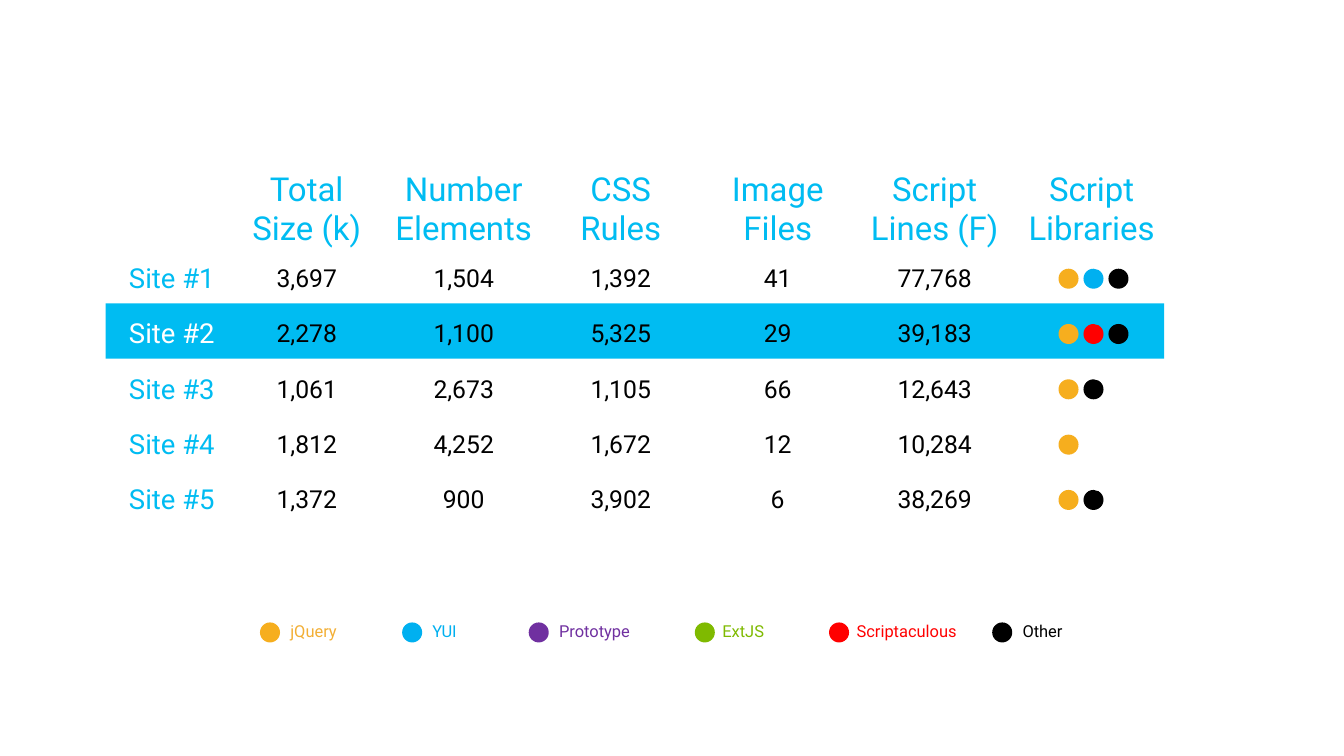
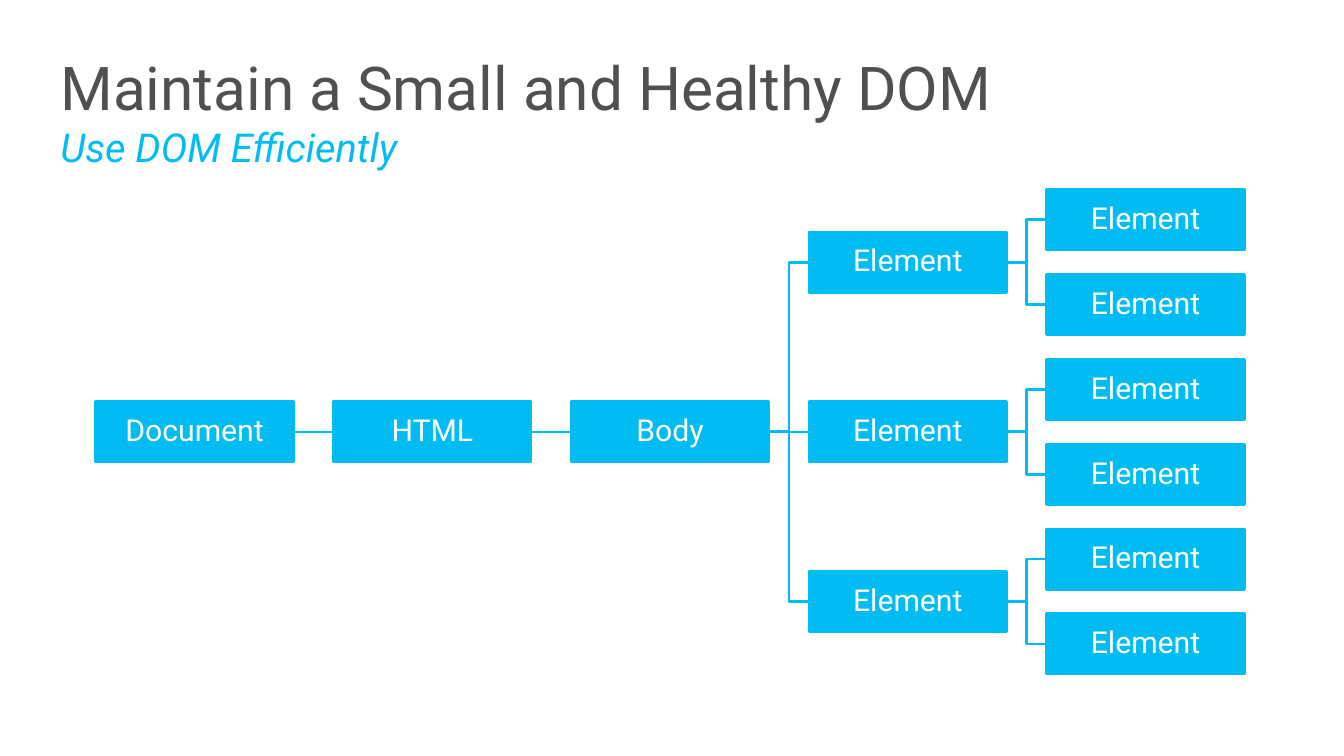
from pptx import Presentation
from pptx.dml.color import RGBColor
from pptx.enum.shapes import MSO_CONNECTOR, MSO_SHAPE
from pptx.enum.text import MSO_ANCHOR, PP_ALIGN
from pptx.oxml.ns import qn
from pptx.util import Pt
from lxml import etree

RECTANGLE, OVAL = MSO_SHAPE.RECTANGLE, MSO_SHAPE.OVAL
STRAIGHT, ELBOW = MSO_CONNECTOR.STRAIGHT, MSO_CONNECTOR.ELBOW
MIDDLE, CENTER = MSO_ANCHOR.MIDDLE, PP_ALIGN.CENTER

CYAN = RGBColor(0x00, 0xBC, 0xF2)
BLUE = RGBColor(0x00, 0xB0, 0xF0)
ORANGE = RGBColor(0xF6, 0xAE, 0x1E)
ORANGE_TEXT = RGBColor(0xF3, 0xAF, 0x35)
PURPLE = RGBColor(0x70, 0x30, 0xA0)
GREEN = RGBColor(0x7F, 0xBA, 0x00)
RED = RGBColor(0xFF, 0x00, 0x00)
GRAY = RGBColor(0x50, 0x50, 0x50)
BLACK = RGBColor(0x00, 0x00, 0x00)
WHITE = RGBColor(0xFF, 0xFF, 0xFF)
FONT = "Roboto"
NO_GRID_STYLE = "{2D5ABB26-0587-4C30-8999-92F81FD0307C}"

# Site comparison table
TABLE_LEFT, TABLE_TOP = 79.2, 122.4
LABEL_WIDTH, VALUE_WIDTH = 87.1, 114.4
HEADER_HEIGHT, ROW_HEIGHT = 60.5, 40.3
HEADERS = ["", "Total\nSize (k)", "Number\nElements", "CSS\nRules",
           "Image\nFiles", "Script\nLines (F)", "Script\nLibraries"]
SITES = [
    ("Site #1", "3,697", "1,504", "1,392", "41", "77,768"),
    ("Site #2", "2,278", "1,100", "5,325", "29", "39,183"),
    ("Site #3", "1,061", "2,673", "1,105", "66", "12,643"),
    ("Site #4", "1,812", "4,252", "1,672", "12", "10,284"),
    ("Site #5", "1,372", "900", "3,902", "6", "38,269"),
]
HIGHLIGHTED = "Site #2"
SITE_LIBRARIES = [(ORANGE, BLUE, BLACK), (ORANGE, RED, BLACK),
                  (ORANGE, BLACK), (ORANGE,), (ORANGE, BLACK)]
DOT_SIZE, DOT_STEP, DOTS_LEFT = 14.6, 18.2, 771.2

# Legend: name, dot colour, text colour, dot left, distance from dot to label
LEGEND_TOP = 453.5
LEGEND = [
    ("jQuery", ORANGE, ORANGE_TEXT, 189.4, 15),
    ("YUI", BLUE, BLUE, 293, 15),
    ("Prototype", PURPLE, PURPLE, 385.2, 15),
    ("ExtJS", GREEN, GREEN, 506.2, 13),
    ("Scriptaculous", RED, RED, 604, 13),
    ("Other", BLACK, BLACK, 722.9, 15),
]

# DOM tree: (name, children)
TREE_LEFT, LEVEL_STEP = 69.8, 173.2
LEAF_TOP, LEAF_STEP = 138.2, 61.8
NODE_WIDTH, NODE_HEIGHT = 144, 44
LEAF = ("Element", [])
DOM = ("Document", [("HTML", [("Body", [("Element", [LEAF] * 2)] * 3)])])
LEAF_COUNT = 6
RIGHT_SITE, LEFT_SITE = 3, 1


def set_font(paragraph, size, color, italic=False):
    font = paragraph.font
    font.name, font.size, font.italic = FONT, Pt(size), italic
    font.color.rgb = color


def set_margins(target, left, top, right, bottom):
    target.margin_left, target.margin_top = Pt(left), Pt(top)
    target.margin_right, target.margin_bottom = Pt(right), Pt(bottom)


def add_filled(slide, kind, left, top, width, height, color):
    shape = slide.shapes.add_shape(kind, Pt(left), Pt(top), Pt(width), Pt(height))
    shape.shadow.inherit = False
    shape.fill.solid()
    shape.fill.fore_color.rgb = color
    shape.line.fill.background()
    return shape


def add_dot(slide, left, top, color):
    add_filled(slide, OVAL, left, top, DOT_SIZE, DOT_SIZE, color)


def add_text(slide, left, top, width, height):
    box = slide.shapes.add_textbox(Pt(left), Pt(top), Pt(width), Pt(height))
    box.text_frame.word_wrap = True
    return box.text_frame


def fill_cell(cell, text, size, color, left_margin=0):
    cell.text = text
    cell.vertical_anchor = MIDDLE
    set_margins(cell, left_margin, 0.7, 0, 0)
    for paragraph in cell.text_frame.paragraphs:
        paragraph.alignment = CENTER
        set_font(paragraph, size, color)


def add_site_table(slide):
    height = HEADER_HEIGHT + ROW_HEIGHT * len(SITES)
    width = LABEL_WIDTH + VALUE_WIDTH * (len(HEADERS) - 1)
    table = slide.shapes.add_table(
        len(SITES) + 1, len(HEADERS),
        Pt(TABLE_LEFT), Pt(TABLE_TOP), Pt(width), Pt(height)).table
    table.first_row = table.horz_banding = False
    table._tbl.tblPr.find(qn("a:tableStyleId")).text = NO_GRID_STYLE
    for index, column in enumerate(table.columns):
        column.width = Pt(VALUE_WIDTH if index else LABEL_WIDTH)
    for index, row in enumerate(table.rows):
        row.height = Pt(ROW_HEIGHT if index else HEADER_HEIGHT)
        for cell in row.cells:
            cell.fill.background()

    for index, header in enumerate(HEADERS):
        fill_cell(table.cell(0, index), header, 24, CYAN)
    for row, (site, *values) in enumerate(SITES, start=1):
        color = WHITE if site == HIGHLIGHTED else CYAN
        fill_cell(table.cell(row, 0), site, 20, color, left_margin=5)
        for column, value in enumerate(values, start=1):
            fill_cell(table.cell(row, column), value, 18, BLACK)


def add_library_dots(slide):
    first_top = TABLE_TOP + HEADER_HEIGHT + (ROW_HEIGHT - DOT_SIZE) / 2
    for row, colors in enumerate(SITE_LIBRARIES):
        for column, color in enumerate(colors):
            add_dot(slide, DOTS_LEFT + column * DOT_STEP,
                    first_top + row * ROW_HEIGHT, color)


def add_legend(slide):
    for name, dot_color, text_color, left, gap in LEGEND:
        add_dot(slide, left, LEGEND_TOP, dot_color)
        paragraph = add_text(slide, left + gap, LEGEND_TOP - 4.2, 115, 22.3).paragraphs[0]
        paragraph.text = name
        set_font(paragraph, 12, text_color)


def add_title(slide, title, subtitle):
    frame = add_text(slide, 44, 36.7, 881.3, 58.3)
    set_margins(frame, 0, 0, 0, 0)
    frame.text = f"{title}\n{subtitle}"
    heading, subheading = frame.paragraphs
    set_font(heading, 44, GRAY)
    set_font(subheading, 29, CYAN, italic=True)


def add_node(slide, name, left, top):
    node = add_filled(slide, RECTANGLE, left, top, NODE_WIDTH, NODE_HEIGHT, CYAN)
    node.line.color.rgb = CYAN
    node.line.width = Pt(2)
    frame = node.text_frame
    frame.word_wrap = True
    frame.vertical_anchor = MIDDLE
    set_margins(frame, 1.4, 1.4, 1.4, 1.4)
    paragraph = frame.paragraphs[0]
    paragraph.text = name
    paragraph.alignment = CENTER
    paragraph.line_spacing = 0.9
    set_font(paragraph, 22, WHITE)
    return node


def connect(slide, parent, child):
    level = abs(parent.top - child.top) < Pt(1)
    link = slide.shapes.add_connector(STRAIGHT if level else ELBOW, 0, 0, 0, 0)
    link.begin_connect(parent, RIGHT_SITE)
    link.end_connect(child, LEFT_SITE)
    link.line.color.rgb = CYAN
    link.line.width = Pt(2)
    etree.SubElement(link._element.spPr, qn("a:effectLst"))


def add_branch(slide, branch, depth, leaf_tops):
    """Draw the children first, then centre their parent beside them."""
    name, children = branch
    nodes = [add_branch(slide, child, depth + 1, leaf_tops) for child in children]
    if nodes:
        top = sum(node.top.pt for node in nodes) / len(nodes)
    else:
        top = next(leaf_tops)
    parent = add_node(slide, name, TREE_LEFT + depth * LEVEL_STEP, top)
    for node in nodes:
        connect(slide, parent, node)
    return parent


def build_comparison(slide):
    add_filled(slide, RECTANGLE, 77, 221, 771.1, ROW_HEIGHT, CYAN)
    add_site_table(slide)
    add_library_dots(slide)
    add_legend(slide)


def build_dom_tree(slide):
    add_title(slide, "Maintain a Small and Healthy DOM", "Use DOM Efficiently")
    leaf_tops = iter([LEAF_TOP + index * LEAF_STEP for index in range(LEAF_COUNT)])
    add_branch(slide, DOM, 0, leaf_tops)


def main():
    deck = Presentation()
    deck.slide_width, deck.slide_height = Pt(979.2), Pt(550.8)
    blank = deck.slide_layouts[6]
    for build in (build_comparison, build_dom_tree):
        build(deck.slides.add_slide(blank))
    deck.save("out.pptx")


if __name__ == "__main__":
    main()
